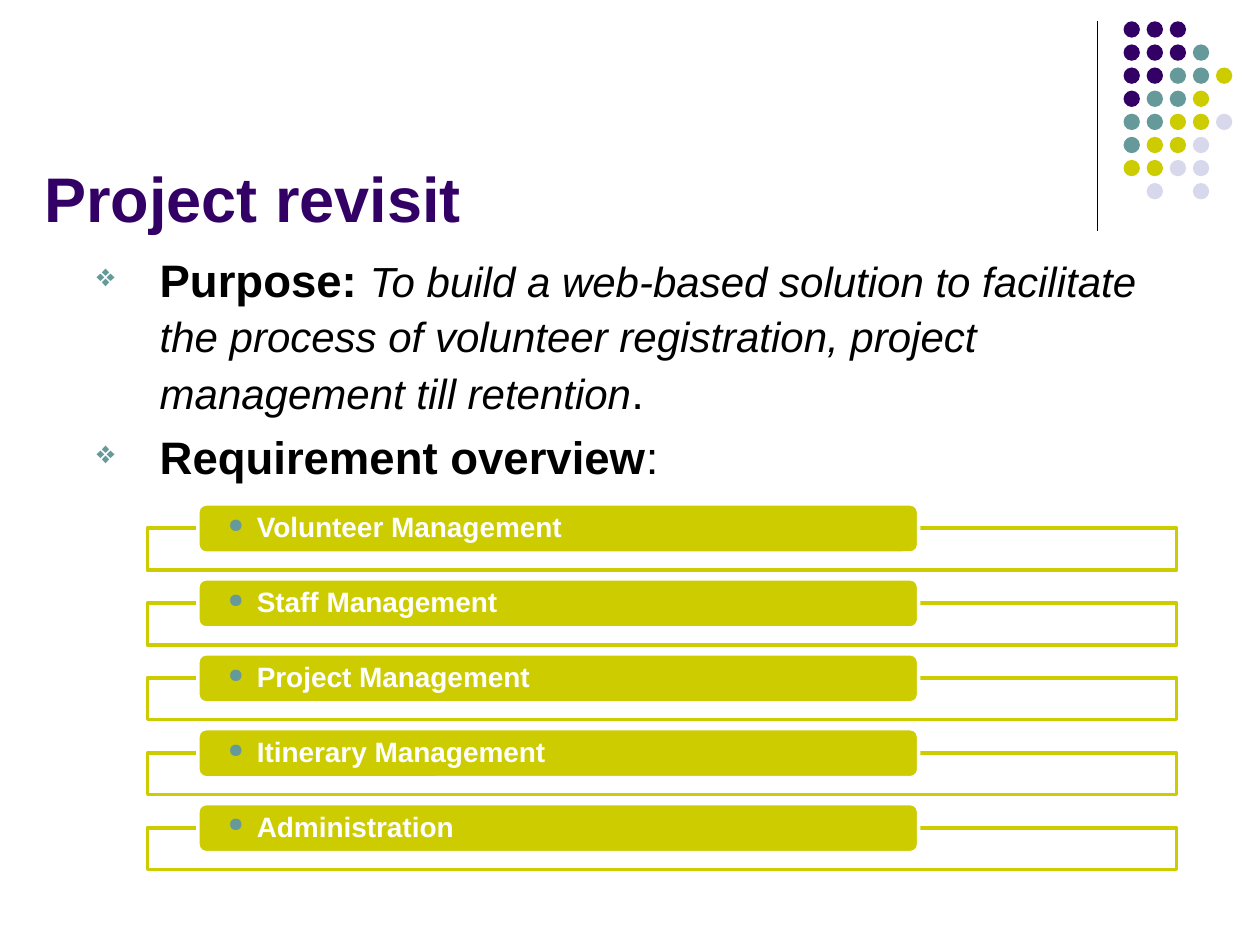
from lxml.etree import SubElement
from pptx import Presentation
from pptx.dml.color import RGBColor
from pptx.enum.shapes import MSO_CONNECTOR, MSO_SHAPE
from pptx.enum.text import MSO_ANCHOR, MSO_AUTO_SIZE, PP_ALIGN
from pptx.oxml.ns import qn
from pptx.util import Cm, Pt

PURPLE = RGBColor(0x33, 0x00, 0x66)
TEAL = RGBColor(0x66, 0x99, 0x99)
OLIVE = RGBColor(0xCC, 0xCC, 0x00)
LAVENDER = RGBColor(0xD8, 0xD8, 0xEC)
BLACK = RGBColor(0, 0, 0)
WHITE = RGBColor(0xFF, 0xFF, 0xFF)

DOT_COLORS = {"P": PURPLE, "T": TEAL, "O": OLIVE, "L": LAVENDER}
DOT_ROWS = ["PPP", "PPPT", "PPTTO", "PTTO", "TTOOL", "TOOL", "OOLL", " L L"]
DOT_PITCH = 3.26 / 7

REQUIREMENTS = ["Volunteer Management", "Staff Management", "Project Management",
                "Itinerary Management", "Administration"]
ROW_TOP, ROW_PITCH = 10.16, 1.51

# Each run: text, size, bold, italic
BODY = [
    [("Purpose: ", 26, True, False),
     ("To build a web-based solution to facilitate the process of volunteer "
      "registration, project management till retention", 24, False, True),
     (".", 26, False, False)],
    [("Requirement overview", 26, True, False), (":", 26, False, False)],
]


def format_run(r, size, color, bold=False, italic=False):
    f = r.font
    f.name, f.size, f.bold, f.italic = "Arial", Pt(size), bold, italic
    f.color.rgb = color


def set_bullet(p, char, indent):
    """Give the paragraph a teal bullet at 70 % with a hanging indent."""
    pPr = p._p.get_or_add_pPr()
    pPr.set("marL", str(indent))
    pPr.set("indent", str(-indent))
    color = SubElement(pPr, qn("a:buClr"))
    SubElement(color, qn("a:srgbClr"), val=str(TEAL))
    SubElement(pPr, qn("a:buSzPct"), val="70000")
    SubElement(pPr, qn("a:buChar"), char=char)


def add_shape(slide, kind, left, top, width, height, fill, line=None):
    sp = slide.shapes.add_shape(kind, Cm(left), Cm(top), Cm(width), Cm(height))
    sp.shadow.inherit = False
    sp.fill.solid()
    sp.fill.fore_color.rgb = fill
    if line is None:
        sp.line.fill.background()
    else:
        sp.line.color.rgb = line
        sp.line.width = Pt(2)
    return sp


def add_corner_decoration(slide):
    rule = slide.shapes.add_connector(MSO_CONNECTOR.STRAIGHT,
                                      Cm(22.12), Cm(0.43), Cm(22.12), Cm(4.65))
    rule.line.color.rgb = BLACK
    rule.line.width = Pt(0.75)
    SubElement(rule._element.spPr, qn("a:effectLst"))
    for row, codes in enumerate(DOT_ROWS):
        for col, code in enumerate(codes):
            if code in DOT_COLORS:
                add_shape(slide, MSO_SHAPE.OVAL, 22.65 + col * DOT_PITCH,
                          0.43 + row * DOT_PITCH, 0.33, 0.33, DOT_COLORS[code])


def format_title(slide, text):
    title = slide.shapes.title
    title.left, title.top, title.width, title.height = Cm(0.64), Cm(0.64), Cm(21.39), Cm(4.23)
    tf = title.text_frame
    tf.text = text
    tf.auto_size = MSO_AUTO_SIZE.NONE
    tf.vertical_anchor = MSO_ANCHOR.BOTTOM
    p = tf.paragraphs[0]
    p.alignment = PP_ALIGN.LEFT
    format_run(p.runs[0], 36, PURPLE, bold=True)


def add_body(slide):
    tf = slide.shapes.add_textbox(Cm(1.7), Cm(4.88), Cm(22.23), Cm(6.25)).text_frame
    tf.word_wrap = True
    for i, runs in enumerate(BODY):
        p = tf.add_paragraph() if i else tf.paragraphs[0]
        p.line_spacing = 1.07
        p.space_before = Pt(3.4)
        set_bullet(p, "❖", Cm(1.27))
        for text, size, bold, italic in runs:
            r = p.add_run()
            r.text = text
            format_run(r, size, BLACK, bold, italic)


def add_requirement(slide, text, top):
    """Draw an outlined frame with a filled label over its upper edge."""
    frame = add_shape(slide, MSO_SHAPE.RECTANGLE, 2.97, top + 0.49, 20.75, 0.84, WHITE, OLIVE)
    fill_color = frame.fill._xPr.find(qn("a:solidFill"))[0]
    SubElement(fill_color, qn("a:alpha"), val="90000")

    label = add_shape(slide, MSO_SHAPE.ROUNDED_RECTANGLE, 3.99, top, 14.53, 0.99, OLIVE, WHITE)
    tf = label.text_frame
    tf.text = text
    tf.word_wrap = True
    tf.vertical_anchor = MSO_ANCHOR.MIDDLE
    tf.margin_left = tf.margin_right = Cm(0.56)
    tf.margin_top = tf.margin_bottom = 0
    p = tf.paragraphs[0]
    p.alignment = PP_ALIGN.LEFT
    p.line_spacing = 0.9
    set_bullet(p, "●", Cm(0.58))
    format_run(p.runs[0], 16, WHITE, bold=True)


def main():
    prs = Presentation()
    prs.slide_width, prs.slide_height = Cm(25.4), Cm(19.05)
    slide = prs.slides.add_slide(prs.slide_layouts[5])
    add_corner_decoration(slide)
    format_title(slide, "Project revisit")
    for i, text in enumerate(REQUIREMENTS):
        add_requirement(slide, text, ROW_TOP + i * ROW_PITCH)
    add_body(slide)
    prs.save("out.pptx")


if __name__ == "__main__":
    main()
